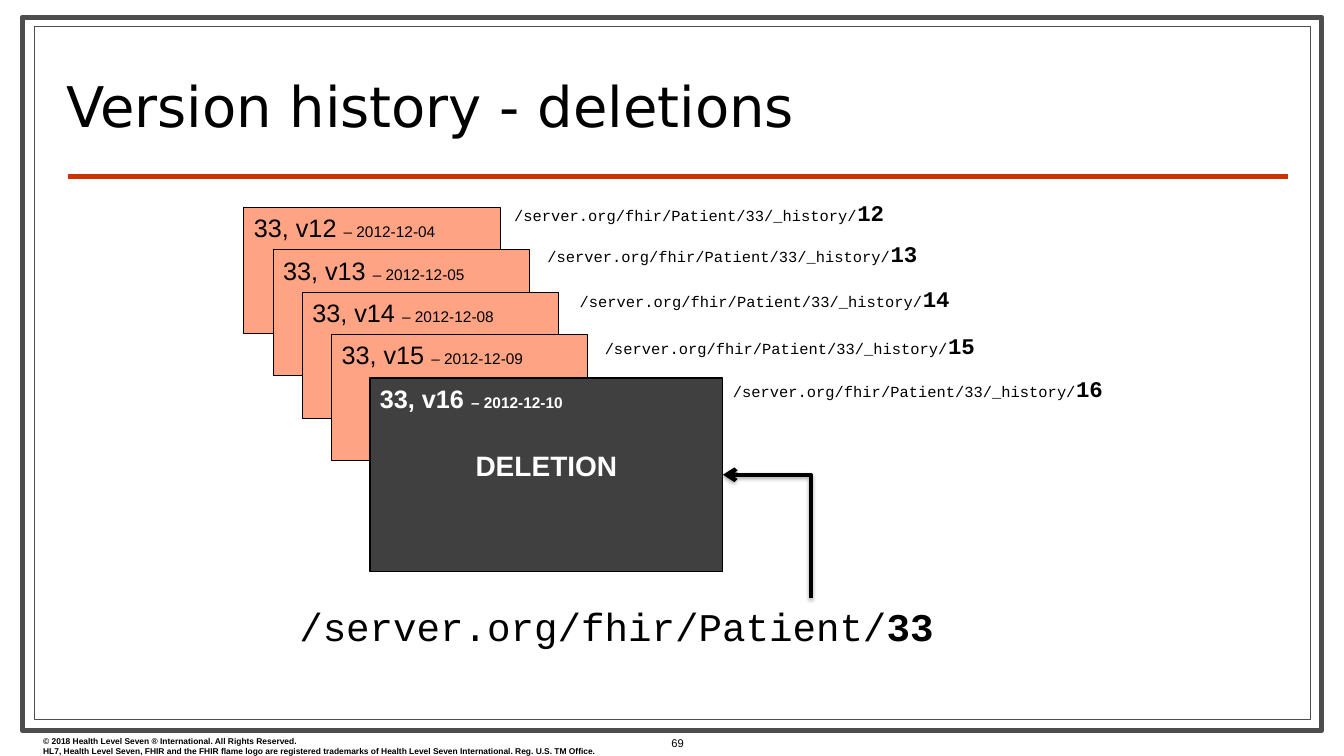
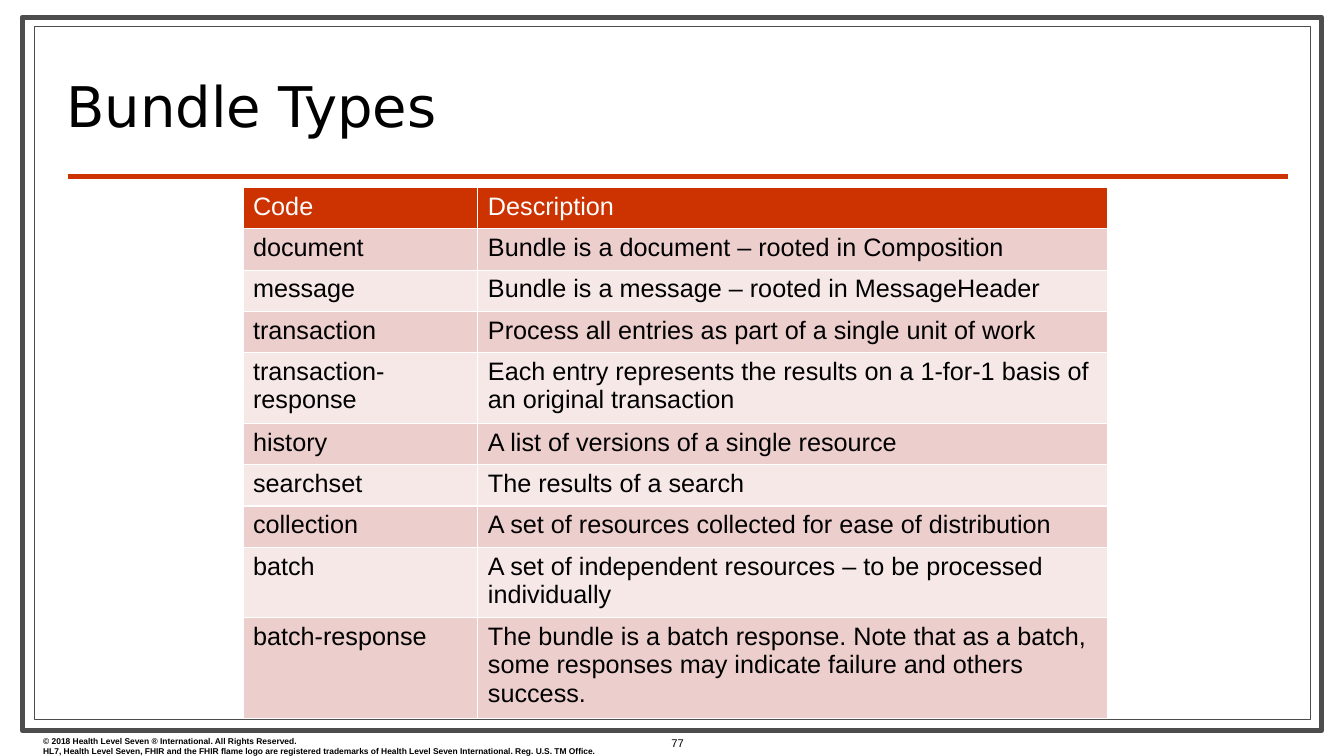
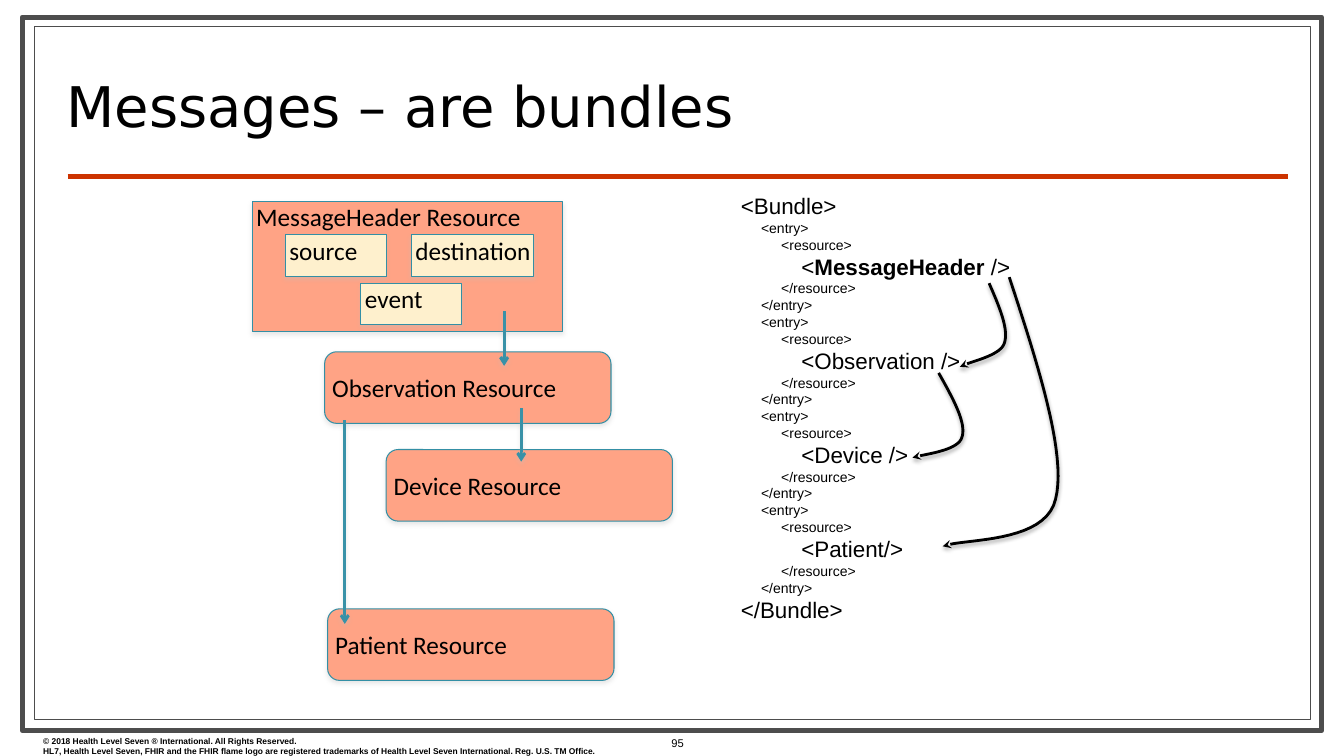
from dataclasses import dataclass

from lxml.etree import SubElement
from pptx import Presentation
from pptx.dml.color import RGBColor
from pptx.enum.shapes import MSO_CONNECTOR, MSO_SHAPE
from pptx.enum.text import MSO_ANCHOR, PP_ALIGN
from pptx.oxml.ns import qn
from pptx.util import Inches, Pt


@dataclass(frozen=True)
class Theme:
    """Colours, fonts and type sizes shared by the deck."""

    white: str = "FFFFFF"
    black: str = "000000"
    frame: str = "4D4D4D"
    accent: str = "CC3300"
    card: str = "FFA385"
    deleted: str = "404040"
    field: str = "FEF0CD"
    outline: str = "338FA5"
    link: str = "3891A7"
    soft_shadow: str = "C0C0C0"
    bands: tuple = ("ECCECC", "F6E8E7")
    title_font: str = "DejaVu Sans"
    body_font: str = "Arial"
    code_font: str = "Courier New"
    model_font: str = "Calibri"
    title_size: float = 40
    address_size: float = 28
    deletion_size: float = 20
    body_size: float = 18
    code_size: float = 16
    detail_size: float = 11
    markup_size: float = 10
    number_size: float = 8
    legal_size: float = 6


THEME = Theme()
HISTORY = "/server.org/fhir/Patient/33/_history/"
LEGAL = (
    "© 2018 Health Level Seven ® International. All Rights Reserved.",
    "HL7, Health Level Seven, FHIR and the FHIR flame logo are registered trademarks of "
    "Health Level Seven International. Reg. U.S. TM Office.",
)
VERSIONS = (
    ("12", "2012-12-04", 5, 1.93),
    ("13", "2012-12-05", 5.33, 2.33),
    ("14", "2012-12-08", 5.65, 2.78),
    ("15", "2012-12-09", 5.9, 3.25),
)
BUNDLE_TYPES = (
    ("Code", "Description"),
    ("document", "Bundle is a document – rooted in Composition"),
    ("message", "Bundle is a message – rooted in MessageHeader"),
    ("transaction", "Process all entries as part of a single unit of work"),
    ("transaction-response",
     "Each entry represents the results on a 1-for-1 basis of an original transaction"),
    ("history", "A list of versions of a single resource"),
    ("searchset", "The results of a search"),
    ("collection", "A set of resources collected for ease of distribution"),
    ("batch", "A set of independent resources – to be processed individually"),
    ("batch-response",
     "The bundle is a batch response. Note that as a batch, some responses may indicate "
     "failure and others success."),
)
ENTRIES = (
    (("<", False), ("MessageHeader", True), (" />", False)),
    (("<Observation />", False),),
    (("<Device />", False),),
    (("<Patient/>", False),),
)
REFERENCES = (
    ((9.81, 2.81), (9.91, 3.04), (10.01, 3.27), (9.96, 3.41),
     (9.91, 3.54), (9.6, 3.59), (9.52, 3.64)),
    ((10.01, 2.75), (10.3, 3.63), (10.58, 4.51), (10.47, 4.95),
     (10.37, 5.4), (9.54, 5.34), (9.35, 5.42)),
    ((9.31, 3.7), (9.45, 3.95), (9.59, 4.2), (9.54, 4.34),
     (9.5, 4.48), (9.13, 4.51), (9.05, 4.54)),
)


def color(value):
    """Turn a hex value into a colour."""
    return RGBColor.from_string(value)


def set_effect(shape, shadow=None):
    """Give a shape a soft shadow below it, or none at all."""
    effects = SubElement(shape._element.spPr, qn("a:effectLst"))
    if shadow:
        outer = SubElement(effects, qn("a:outerShdw"), blurRad=str(Pt(3)),
                           dist=str(Pt(1.8)), dir="5400000", rotWithShape="0")
        tint = SubElement(outer, qn("a:srgbClr"), val=shadow)
        SubElement(tint, qn("a:alpha"), val="35000")


def set_line(shape, line, width, shadow=None, head=None, tail=None):
    """Style an outline with its arrowheads and shadow."""
    shape.line.color.rgb = color(line)
    shape.line.width = Pt(width)
    for tag, kind in (("a:headEnd", head), ("a:tailEnd", tail)):
        if kind:
            SubElement(shape.line._get_or_add_ln(), qn(tag), type=kind)
    set_effect(shape, shadow)


def add_panel(page, at, fill, line, width=0.75, kind=MSO_SHAPE.RECTANGLE, shadow=None):
    """Add a filled shape with an outline."""
    panel = page.shapes.add_shape(kind, *map(Inches, at))
    panel.fill.solid()
    panel.fill.fore_color.rgb = color(fill)
    set_line(panel, line, width, shadow)
    panel.text_frame.vertical_anchor = MSO_ANCHOR.TOP
    return panel


def add_line(page, start, end, line, width, kind=MSO_CONNECTOR.STRAIGHT, **style):
    """Add a connector between two points."""
    connector = page.shapes.add_connector(kind, *map(Inches, start + end))
    set_line(connector, line, width, **style)
    return connector


def add_curve(page, points):
    """Add an arrow that follows joined cubic curves."""
    steps = 20
    track = []
    for first in range(0, len(points) - 1, 3):
        for step in range(1, steps + 1):
            t = step / steps
            weights = ((1 - t) ** 3, 3 * t * (1 - t) ** 2, 3 * t * t * (1 - t), t ** 3)
            corners = points[first:first + 4]
            track.append(tuple(
                Inches(sum(weight * corner[axis] for weight, corner in zip(weights, corners)))
                for axis in (0, 1)))
    builder = page.shapes.build_freeform(*map(Inches, points[0]))
    builder.add_line_segments(track, close=False)
    curve = builder.convert_to_shape()
    curve.fill.background()
    set_line(curve, THEME.black, 2, THEME.black, tail="stealth")


def add_text(page, at):
    """Add an empty wrapping text box and return its frame."""
    frame = page.shapes.add_textbox(*map(Inches, at)).text_frame
    frame.word_wrap = True
    return frame


def write(frame, spans, font=THEME.body_font, ink=THEME.black, align=PP_ALIGN.LEFT):
    """Write one paragraph of (text, size, bold) spans into a frame."""
    para = frame.paragraphs[0]
    if para.runs:
        para = frame.add_paragraph()
    para.alignment = align
    for text, size, bold in spans:
        span = para.add_run()
        span.text = text
        span.font.name = font
        span.font.size = Pt(size)
        span.font.bold = bold
        span.font.color.rgb = color(ink)
    return para


def add_page(deck, title, number):
    """Add a slide with the shared frame, title, rule and footer."""
    page = deck.slides.add_slide(deck.slide_layouts[6])
    add_panel(page, (0.22, 0.17, 12.89, 7.08), THEME.white, THEME.frame, 3.5)
    add_panel(page, (0.34, 0.26, 12.66, 6.88), THEME.white, THEME.frame)
    add_line(page, (0.67, 1.75), (12.77, 1.75), THEME.accent, 3)
    legal = add_text(page, (0.33, 7.25, 6.44, 0.3))
    for line in LEGAL:
        write(legal, [(line, THEME.legal_size, True)])
    heading = add_text(page, (0.56, 0.52, 10.2, 0.9))
    heading.vertical_anchor = MSO_ANCHOR.BOTTOM
    write(heading, [(title, THEME.title_size, False)], THEME.title_font).line_spacing = 0.8
    footer = add_text(page, (6.33, 7.25, 0.78, 0.25))
    footer.vertical_anchor = MSO_ANCHOR.MIDDLE
    write(footer, [(number, THEME.number_size, False)], align=PP_ALIGN.CENTER)
    return page


def add_version(page, at, version, date, fill=THEME.card, ink=THEME.black, bold=False):
    """Add a card for one version of the resource."""
    card = add_panel(page, at, fill, THEME.black)
    write(card.text_frame, [(f"33, v{version} ", THEME.body_size, bold),
                            (f"– {date}", THEME.detail_size, bold)], ink=ink)
    return card


def add_address(page, left, top, version):
    """Add the history address of one version."""
    write(add_text(page, (left, top, 5, 0.37)),
          [(HISTORY, THEME.detail_size, False), (version, THEME.code_size, True)],
          THEME.code_font)


def add_resource(page, text, at, fill=THEME.card, rounded=False):
    """Add a labelled resource or field box."""
    kind = MSO_SHAPE.ROUNDED_RECTANGLE if rounded else MSO_SHAPE.RECTANGLE
    box = add_panel(page, at, fill, THEME.outline, kind=kind, shadow=THEME.soft_shadow)
    frame = box.text_frame
    frame.margin_left = Inches(0.04)
    frame.margin_top = frame.margin_right = frame.margin_bottom = 0
    if rounded:
        frame.vertical_anchor = MSO_ANCHOR.MIDDLE
    write(frame, [(text, THEME.body_size, False)], THEME.model_font)


def add_markup(frame, level, spans, size):
    """Add one indented line of markup."""
    para = write(frame, [(text, size, bold) for text, bold in spans])
    para._p.get_or_add_pPr().set("marL", str(Inches(0.2 * level)))


def build_history(deck):
    """Build the slide on deleted versions."""
    page = add_page(deck, "Version history - deletions", "69")
    for index, (version, date, left, top) in enumerate(VERSIONS):
        add_version(page, (2.42 + 0.29 * index, 2.06 + 0.42 * index, 2.54, 1.25), version, date)
        add_address(page, left, top, version)
    card = add_version(page, (3.67, 3.75, 3.5, 1.92), "16", "2012-12-10",
                       THEME.deleted, THEME.white, True)
    deletion = write(card.text_frame, [("DELETION", THEME.deletion_size, True)],
                     ink=THEME.white, align=PP_ALIGN.CENTER)
    deletion.space_before = Pt(25)
    add_address(page, 7.17, 3.67, "16")
    write(add_text(page, (2.87, 5.93, 6.88, 0.57)),
          [("/server.org/fhir/Patient/", THEME.address_size, False),
           ("33", THEME.address_size, True)], THEME.code_font)
    elbow = add_line(page, (7.17, 4.71), (8.04, 5.93), THEME.black, 3,
                     MSO_CONNECTOR.ELBOW, shadow=THEME.black, head="arrow")
    elbow._element.spPr.find(qn("a:prstGeom")).set("prst", "bentConnector2")


def build_types(deck):
    """Build the table of bundle types."""
    page = add_page(deck, "Bundle Types", "77")
    table = page.shapes.add_table(len(BUNDLE_TYPES), 2, *map(Inches, (2.41, 1.86, 8.58, 4.1))).table
    for column, width in zip(table.columns, (2.33, 6.25)):
        column.width = Inches(width)
    for index, texts in enumerate(BUNDLE_TYPES):
        table.rows[index].height = Inches(0.41)
        fill = THEME.bands[(index - 1) % 2] if index else THEME.accent
        ink = THEME.black if index else THEME.white
        for cell, text in zip(table.rows[index].cells, texts):
            cell.fill.solid()
            cell.fill.fore_color.rgb = color(fill)
            write(cell.text_frame, [(text, THEME.body_size, False)], ink=ink)


def build_messages(deck):
    """Build the slide on messages as bundles."""
    page = add_page(deck, "Messages – are bundles", "95")
    add_resource(page, "MessageHeader Resource", (2.5, 2, 3.08, 1.29))
    for text, left, top, width in (("source", 2.83, 2.33, 1), ("destination", 4.08, 2.33, 1.21),
                                   ("event", 3.58, 2.81, 1)):
        add_resource(page, text, (left, top, width, 0.41), THEME.field)
    for name, left, top in (("Observation", 3.22, 3.49), ("Device", 3.83, 4.46),
                            ("Patient", 3.25, 6.04)):
        add_resource(page, f"{name} Resource", (left, top, 2.84, 0.71), rounded=True)
    for x, top, bottom in ((5, 3.09, 3.63), (5.17, 4.05, 4.58), (3.42, 4.17, 6.19)):
        add_line(page, (x, top), (x, bottom), THEME.link, 2,
                 shadow=THEME.soft_shadow, tail="arrow")
    markup = add_text(page, (7.25, 1.86, 2.89, 4.41))
    add_markup(markup, 0, [("<Bundle>", False)], THEME.code_size)
    for entry in ENTRIES:
        for level, tag in ((1, "<entry>"), (2, "<resource>")):
            add_markup(markup, level, [(tag, False)], THEME.markup_size)
        add_markup(markup, 3, entry, THEME.code_size)
        for level, tag in ((2, "</resource>"), (1, "</entry>")):
            add_markup(markup, level, [(tag, False)], THEME.markup_size)
    add_markup(markup, 0, [("</Bundle>", False)], THEME.code_size)
    for points in REFERENCES:
        add_curve(page, points)


def main():
    """Build and save the deck."""
    deck = Presentation()
    deck.slide_width = Inches(13.33)
    deck.slide_height = Inches(7.5)
    build_history(deck)
    build_types(deck)
    build_messages(deck)
    deck.save("out.pptx")


if __name__ == "__main__":
    main()
